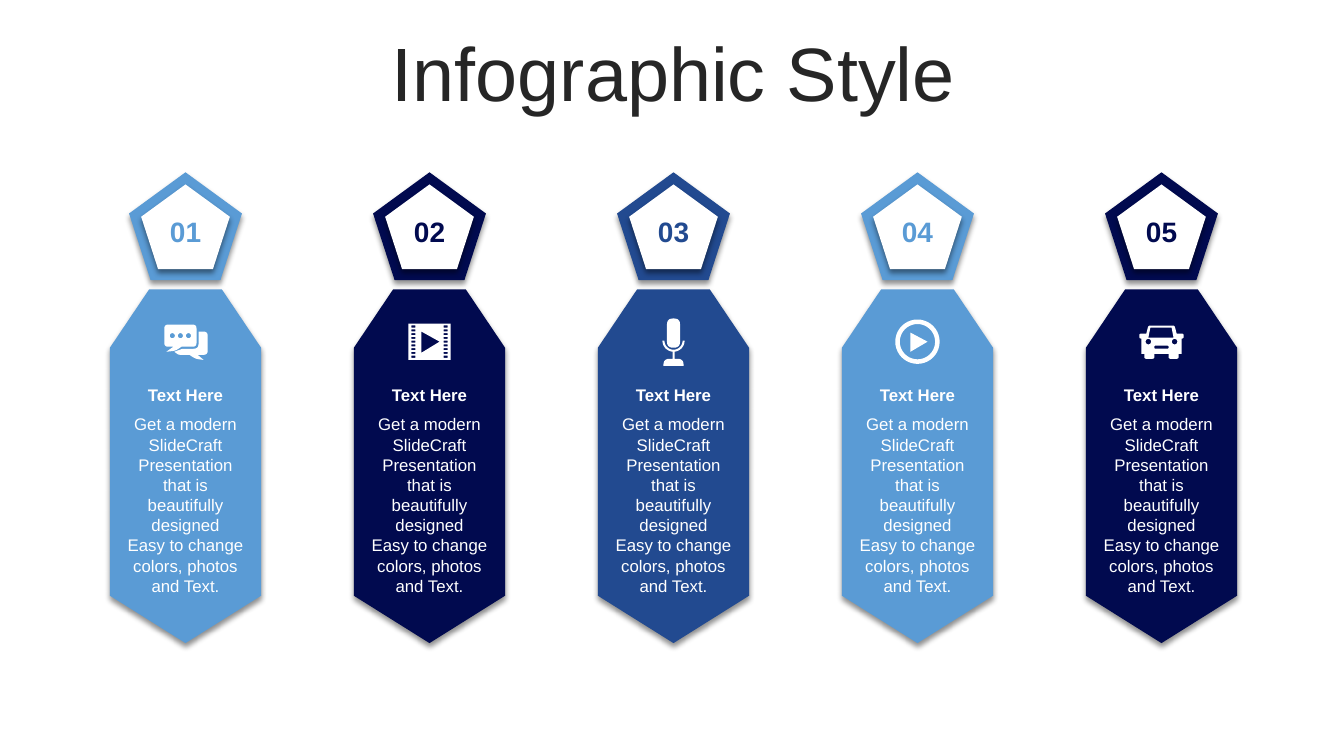
from math import cos, pi, sin
from lxml.etree import SubElement
from pptx import Presentation
from pptx.dml.color import RGBColor
from pptx.enum.shapes import MSO_SHAPE
from pptx.enum.text import MSO_ANCHOR, MSO_AUTO_SIZE, PP_ALIGN
from pptx.oxml.ns import qn
from pptx.util import Inches, Pt

WIDTH, HEIGHT = 13.33, 7.5
FIRST, PITCH = 1.84, 2.42
ICON_Y = 3.39
FONT, WHITE, INK = "Arial", "FFFFFF", "262626"
SKY, NAVY, BLUE = "5A9BD5", "010A4F", "224A90"
TITLE = "Infographic Style"
HEADING = "Text Here"
BODY = ["Get a modern SlideCraft Presentation that is beautifully designed",
        "Easy to change colors, photos and Text."]
BANNER = [(-.36, 2.87), (.36, 2.87), (.75, 3.45), (.75, 5.91),
          (0, 6.38), (-.75, 5.91), (-.75, 3.45)]


def disc(x, y, r, n=40):
    return [(x + r * cos(2 * pi * k / n), y + r * sin(2 * pi * k / n)) for k in range(n)]


def box(x, y, w, h, r=0):
    return soft([(x, y, r), (x + w, y, r), (x + w, y + h, r), (x, y + h, r)])


def soft(corners, n=6):
    points = []
    for k, (x, y, r) in enumerate(corners):
        if not r:
            points.append((x, y))
            continue
        ends = []
        for nx, ny, _ in (corners[k - 1], corners[(k + 1) % len(corners)]):
            share = r / ((nx - x) ** 2 + (ny - y) ** 2) ** .5
            ends.append((x + (nx - x) * share, y + (ny - y) * share))
        (ax, ay), (bx, by) = ends
        for t in (j / n for j in range(n + 1)):
            a, c, b = (1 - t) ** 2, 2 * t * (1 - t), t * t
            points.append((a * ax + c * x + b * bx, a * ay + c * y + b * by))
    return points


def chat():
    front = [(-.21, -.17, .04), (.11, -.17, .04), (.11, .05, .04), (-.04, .05, 0),
             (-.1, .09, .03), (-.19, .1, 0), (-.12, .05, 0), (-.21, .05, .04)]
    back = [(.13, -.1, 0), (.22, -.1, .04), (.22, .13, .04), (.12, .13, 0),
            (.18, .18, 0), (.1, .17, .03), (.04, .13, 0), (-.07, .13, .02),
            (-.11, .1, 0), (-.03, .07, 0), (.13, .07, .05)]
    return [soft(front), soft(back)] + [disc(x, -.06, .025) for x in (-.13, -.05, .03)]


def film():
    holes = [box(x, -.16 + .0375 * k, .04, .02) for k in range(9) for x in (-.18, .14)]
    return [box(-.21, -.18, .42, .36), [(-.08, -.1), (-.08, .11), (.1, 0)]] + holes


def microphone():
    arc = [pi * k / 20 for k in range(21)]
    cradle = [(.11 * cos(a), -.01 + .11 * sin(a)) for a in arc]
    cradle += [(.09 * cos(a), -.01 + .09 * sin(a)) for a in reversed(arc)]
    base = [(-.1, .24, 0), (-.1, .17, .06), (.1, .17, .06), (.1, .24, 0)]
    return [box(-.065, -.23, .13, .29, .06), cradle, box(-.01, .1, .02, .07), soft(base)]


def play():
    return [disc(0, 0, .22), disc(0, 0, .175), [(-.07, -.09), (.1, 0), (-.07, .1)]]


def car():
    half = [(.13, -.16, .02), (.15, -.08, 0), (.22, -.08, .02), (.22, -.03, .02),
            (.2, -.03, 0), (.2, .12, 0), (.17, .12, 0), (.17, .17, .02),
            (.07, .17, .02), (.07, .12, 0)]
    body = half + [(-x, y, r) for x, y, r in reversed(half)]
    window = [(-.11, -.14), (.1, -.14), (.12, -.04), (-.13, -.04)]
    return [soft(body), window, disc(-.13, 0, .027), disc(.13, 0, .027),
            box(-.07, .04, .14, .03, .01)]


COLUMNS = [("01", SKY, chat), ("02", NAVY, film), ("03", BLUE, microphone),
           ("04", SKY, play), ("05", NAVY, car)]


def color(hex_text):
    return RGBColor.from_string(hex_text)


def paint(sp, fill, shadow=False):
    sp.fill.solid()
    sp.fill.fore_color.rgb = color(fill)
    sp.line.fill.background()
    sp.shadow.inherit = False
    if shadow:
        effects = sp._element.spPr.find(qn("a:effectLst"))
        outer = SubElement(effects, qn("a:outerShdw"), blurRad=str(Pt(4)), dist=str(Pt(3)),
                           dir="5400000", algn="t", rotWithShape="0")
        tint = SubElement(outer, qn("a:srgbClr"), val="000000")
        SubElement(tint, qn("a:alpha"), val="43000")


def outline(s, contours, x, y, fill, shadow=False):
    builder = None
    for contour in contours:
        points = [(Inches(x + px), Inches(y + py)) for px, py in contour]
        if builder is None:
            builder = s.shapes.build_freeform(*points[0])
        else:
            builder.move_to(*points[0])
        builder.add_line_segments(points[1:], close=True)
    paint(builder.convert_to_shape(), fill, shadow)


def pentagon(s, x, y, w, h, fill):
    sp = s.shapes.add_shape(MSO_SHAPE.REGULAR_PENTAGON, Inches(x - w / 2), Inches(y),
                            Inches(w), Inches(h))
    paint(sp, fill, True)


def write(s, lines, x, y, w, h, size, ink, bold=False):
    tf = s.shapes.add_textbox(Inches(x - w / 2), Inches(y), Inches(w), Inches(h)).text_frame
    tf.word_wrap = True
    tf.auto_size = MSO_AUTO_SIZE.SHAPE_TO_FIT_TEXT
    tf.text = "\n".join(lines)
    for p in tf.paragraphs:
        p.alignment = PP_ALIGN.CENTER
        for r in p.runs:
            r.font.name, r.font.size, r.font.bold = FONT, Pt(size), bold
            r.font.color.rgb = color(ink)
    return tf


def main():
    prs = Presentation()
    prs.slide_width, prs.slide_height = Inches(WIDTH), Inches(HEIGHT)
    s = prs.slides.add_slide(prs.slide_layouts[6])
    title = write(s, [TITLE], 6.68, .37, 12.66, .79, 54, INK)
    title.auto_size = MSO_AUTO_SIZE.NONE
    title.vertical_anchor = MSO_ANCHOR.MIDDLE
    title.paragraphs[0].line_spacing = .9
    for k, (number, fill, icon) in enumerate(COLUMNS):
        x = FIRST + k * PITCH
        pentagon(s, x, 1.71, 1.12, 1.07, fill)
        outline(s, [BANNER], x, 0, fill, True)
        pentagon(s, x, 1.83, .88, .84, WHITE)
        write(s, [number], x, 2.08, .61, .44, 20, fill, True)
        write(s, BODY, x, 4.06, 1.39, 1.92, 12, WHITE)
        write(s, [HEADING], x, 3.77, 1.41, .3, 12, WHITE, True)
        outline(s, icon(), x, ICON_Y, WHITE)
    prs.save("out.pptx")


if __name__ == "__main__":
    main()
